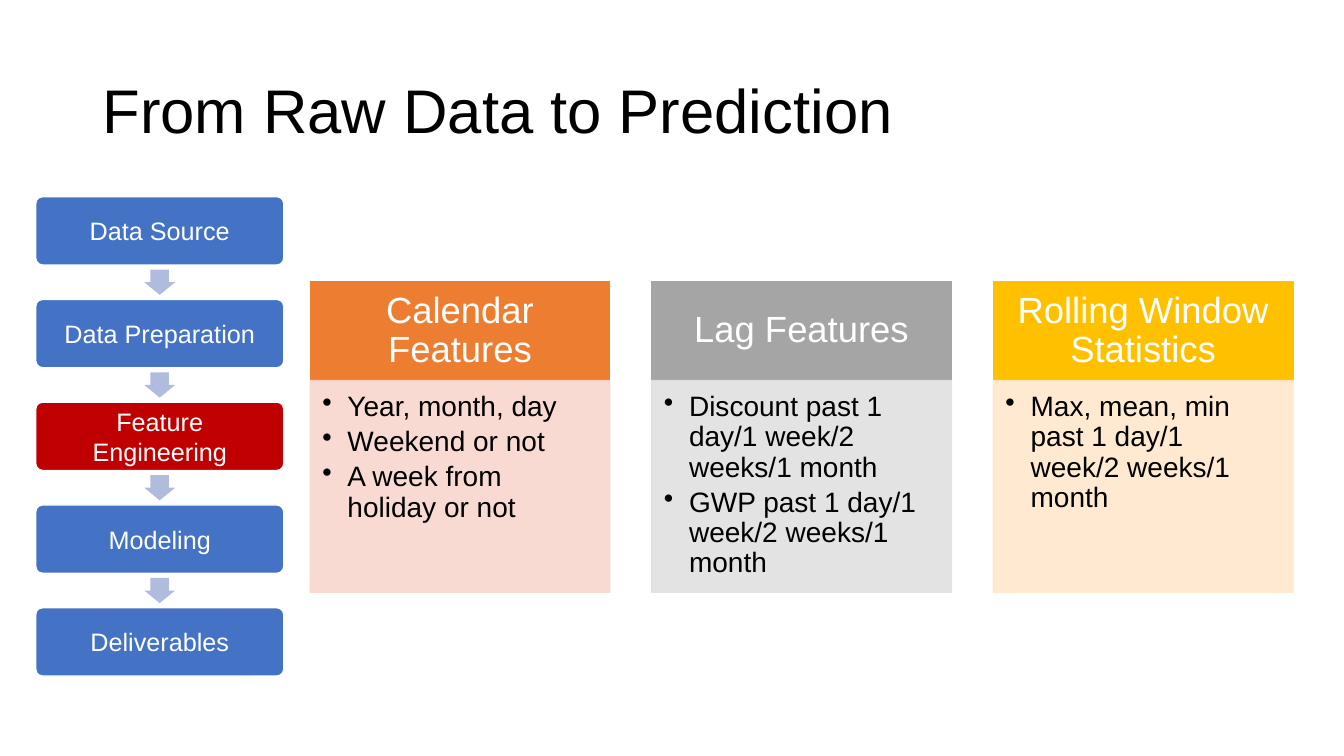
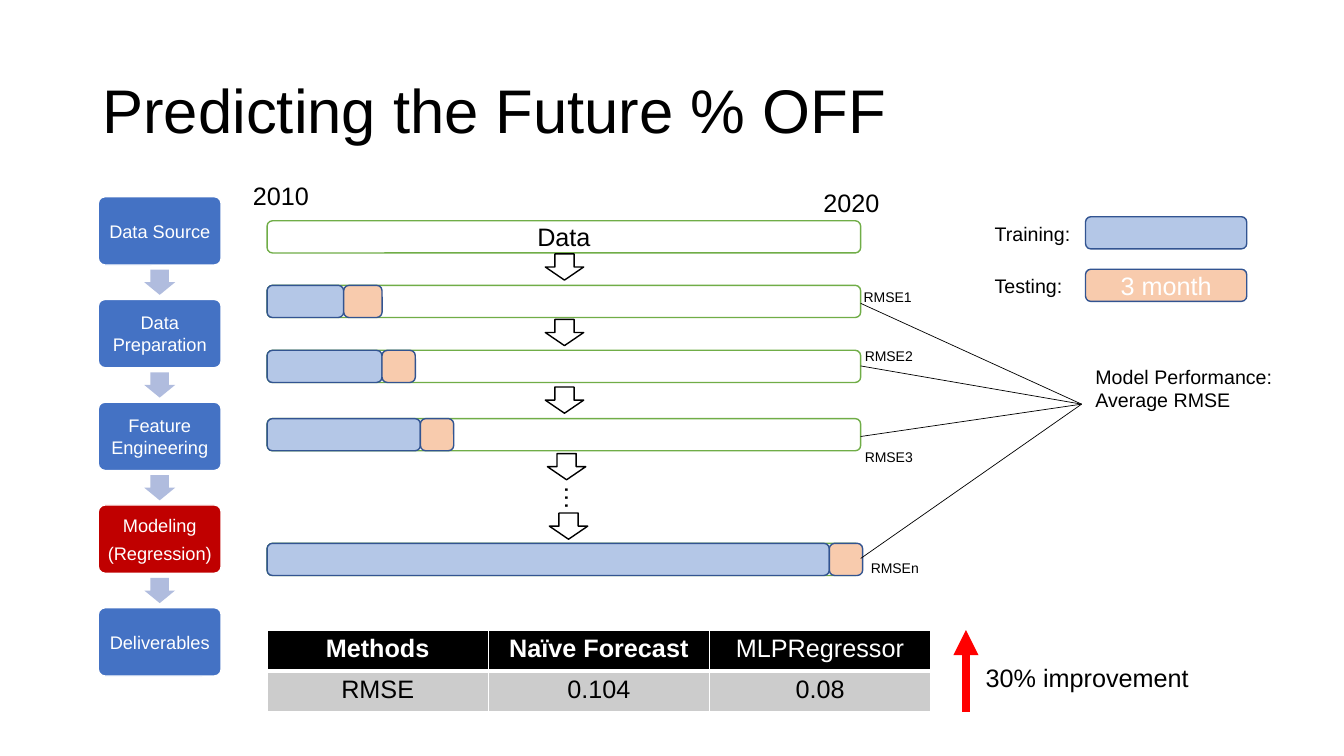
from lxml import etree
from pptx import Presentation
from pptx.dml.color import RGBColor
from pptx.enum import shapes, text
from pptx.oxml.ns import qn
from pptx.util import Pt

FONT = "Arial"
COLORS = {
    "black": "000000", "white": "FFFFFF", "step": "4472C4", "current": "C00000",
    "step_arrow": "B0BCDE", "calendar": "ED7D31", "calendar_pale": "F8D7CE",
    "lag": "A5A5A5", "lag_pale": "E1E1E1", "rolling": "FFC000",
    "rolling_pale": "FFE8CC", "track": "70AD47", "training": "B4C7E7",
    "testing": "F8CBAD", "split_edge": "325491", "row": "CCCCCC", "gain": "FF0000",
}
PRESET = shapes.MSO_SHAPE
CENTER = text.PP_ALIGN.CENTER
MIDDLE = text.MSO_ANCHOR.MIDDLE

FLOW_CENTER, FLOW_TOP, STEP_PITCH, STEP_HEIGHT = 114.1, 140.5, 73.4, 48.8
FEATURES = [
    ("calendar", "Calendar Features",
     ["Year, month, day", "Weekend or not", "A week from holiday or not"]),
    ("lag", "Lag Features",
     ["Discount past 1 day/1 week/2 weeks/1 month",
      "GWP past 1 day/1 week/2 weeks/1 month"]),
    ("rolling", "Rolling Window Statistics",
     ["Max, mean, min past 1 day/1 week/2 weeks/1 month"]),
]
TRACK_LEFT, TRACK_WIDTH, TRACK_HEIGHT = 190.8, 424, 23
FOLDS = [
    ("RMSE1", 203.8, 54.7, 27.4, (609.8, 202.3), 216.7),
    ("RMSE2", 250.2, 82.1, 23.8, (610.6, 244.8), 261.4),
    ("RMSE3", 299, 109.5, 23.8, (610.6, 316.8), 311.8),
    ("RMSEn", 388.1, 401.6, 23.8, (614.9, 396), 398.9),
]
FOLD_ARROWS = [(389.5, 181.4), (389.5, 228.2), (389.5, 276.5), (391, 324), (392.4, 366.5)]


def rgb(name):
    return RGBColor.from_string(COLORS[name])


def apply(target, formats):
    for name, value in formats.items():
        setattr(target, name, value)


def box(left, top, width, height):
    return [Pt(length) for length in (left, top, width, height)]


def write(frame, lines, size, color="black", bold=False, gap=0, bullet=False, **formats):
    for index, line in enumerate(lines):
        paragraph = frame.paragraphs[0] if index == 0 else frame.add_paragraph()
        if bullet:
            props = paragraph._p.get_or_add_pPr()
            props.set("marL", str(Pt(18)))
            props.set("indent", str(Pt(-18)))
            etree.SubElement(props, qn("a:buChar"), char="•")
        apply(paragraph, formats)
        if index and gap:
            paragraph.space_before = Pt(gap)
        run = paragraph.add_run()
        run.text = line
        apply(run.font, {"name": FONT, "size": Pt(size), "bold": bold})
        run.font.color.rgb = rgb(color)


def set_frame(frame, anchor, left, top, right, bottom):
    apply(frame, {"word_wrap": True, "vertical_anchor": anchor,
                  "margin_left": Pt(left), "margin_top": Pt(top),
                  "margin_right": Pt(right), "margin_bottom": Pt(bottom)})


def add_block(slide, preset, place, fill, edge=None, adjust=()):
    block = slide.shapes.add_shape(preset, *box(*place))
    block.shadow.inherit = False
    for index, value in enumerate(adjust):
        block.adjustments[index] = value
    block.fill.solid()
    block.fill.fore_color.rgb = rgb(fill)
    if edge:
        block.line.color.rgb = rgb(edge)
        block.line.width = Pt(1)
    else:
        block.line.fill.background()
    return block


def add_label(slide, place, lines, size):
    label = slide.shapes.add_textbox(*box(*place))
    write(label.text_frame, lines, size)
    return label


def add_line(slide, start, end, color, width, arrow=False):
    line = slide.shapes.add_connector(
        shapes.MSO_CONNECTOR.STRAIGHT, *[Pt(length) for length in (*start, *end)])
    line.line.color.rgb = rgb(color)
    line.line.width = Pt(width)
    if arrow:
        etree.SubElement(line.line._get_or_add_ln(), qn("a:tailEnd"), type="triangle")
    etree.SubElement(line._element.spPr, qn("a:effectLst"))


def add_titled_slide(deck, title):
    slide = deck.slides.add_slide(deck.slide_layouts[5])
    heading = slide.shapes.title
    apply(heading, dict(zip(("left", "top", "width", "height"), box(66, 28.8, 828, 104.4))))
    set_frame(heading.text_frame, MIDDLE, 7.2, 3.6, 7.2, 3.6)
    write(heading.text_frame, [title], 44, alignment=text.PP_ALIGN.LEFT, line_spacing=0.9)
    return slide


def add_flow(slide, steps, current, width, size, inset):
    for index, lines in enumerate(steps):
        top = FLOW_TOP + index * STEP_PITCH
        step = add_block(slide, PRESET.ROUNDED_RECTANGLE,
                         (FLOW_CENTER - width / 2, top, width, STEP_HEIGHT),
                         "current" if index == current else "step", "white", [0.1])
        set_frame(step.text_frame, MIDDLE, *[inset] * 4)
        write(step.text_frame, lines, size, "white", gap=size * 0.35, alignment=CENTER)
        if index:
            gap_center = top - (STEP_PITCH - STEP_HEIGHT) / 2
            add_block(slide, PRESET.DOWN_ARROW, (FLOW_CENTER - 11, gap_center - 9, 22, 18),
                      "step_arrow", adjust=[0.6, 0.5])


def add_feature(slide, left, color, heading, points):
    pale = color + "_pale"
    head = add_block(slide, PRESET.RECTANGLE, (left, 201, 214, 70.8), color, color)
    set_frame(head.text_frame, MIDDLE, 14.4, 8.6, 14.4, 8.6)
    write(head.text_frame, [heading], 26, "white", alignment=CENTER, line_spacing=0.9)
    body = add_block(slide, PRESET.RECTANGLE, (left, 271.8, 214, 151.2), pale, pale)
    for color_element in body._element.spPr.iter(qn("a:srgbClr")):
        etree.SubElement(color_element, qn("a:alpha"), val="90000")
    set_frame(body.text_frame, text.MSO_ANCHOR.TOP, 8.6, 8.6, 11.5, 12.2)
    write(body.text_frame, points, 20, gap=3.5, bullet=True,
          alignment=text.PP_ALIGN.LEFT, line_spacing=0.9)


def add_bar(slide, left, top, width, fill, edge):
    return add_block(slide, PRESET.ROUNDED_RECTANGLE,
                     (left, top, width, TRACK_HEIGHT), fill, edge)


def add_bar_text(bar, line, color):
    bar.text_frame.vertical_anchor = MIDDLE
    write(bar.text_frame, [line], 18, color, alignment=CENTER)


def add_folds(slide):
    data = add_bar(slide, TRACK_LEFT, 157.7, TRACK_WIDTH, "white", "track")
    add_bar_text(data, "Data", "black")
    add_label(slide, (173.5, 125.3, 54.5, 28.8), ["2010"], 18)
    add_label(slide, (581, 130.3, 54.5, 28.8), ["2020"], 18)
    for left, top in FOLD_ARROWS:
        add_block(slide, PRESET.DOWN_ARROW, (left, top, 27.4, 18.7), "white", "black")
    for score, top, training, testing, label_at, line_top in FOLDS:
        add_bar(slide, TRACK_LEFT, top, TRACK_WIDTH, "white", "track")
        add_bar(slide, TRACK_LEFT, top, training, "training", "split_edge")
        add_bar(slide, TRACK_LEFT + training, top, testing, "testing", "split_edge")
        add_line(slide, (TRACK_LEFT + TRACK_WIDTH, line_top), (772.6, 288.7), "black", 0.5)
        add_label(slide, (*label_at, 49, 19.4), [score], 10)
    add_label(slide, (394.6, 341.3, 32.4, 28.8), ["…"], 18).rotation = 90
    add_label(slide, (775.4, 257, 141, 41), ["Model Performance:", "Average RMSE"], 14)


def add_legend(slide):
    for top, label, width, fill in ((154.8, "Training:", 69, "training"),
                                    (192.3, "Testing:", 63.4, "testing")):
        swatch = add_bar(slide, 775.4, top, 115.2, fill, "split_edge")
        add_label(slide, (703.4, top, width, 24.5), [label], 14)
    add_bar_text(swatch, "3 month", "white")


def add_cell_border(cell, side, width):
    border = etree.SubElement(cell._tc.get_or_add_tcPr(), qn("a:" + side), w=str(Pt(width)))
    fill = etree.SubElement(border, qn("a:solidFill"))
    etree.SubElement(fill, qn("a:srgbClr"), val=COLORS["white"])


def add_scores(slide):
    rows = [("Methods", "Naïve Forecast", "MLPRegressor"), ("RMSE", "0.104", "0.08")]
    scores = slide.shapes.add_table(2, 3, *box(TRACK_LEFT, 450, 474, 58.4)).table
    scores.horz_banding = False
    for row, values in enumerate(rows):
        for column, value in enumerate(values):
            cell = scores.cell(row, column)
            for side in ("lnL", "lnR", "lnT", "lnB"):
                divider = side == ("lnT" if row else "lnB")
                add_cell_border(cell, side, 3 if divider else 1)
            cell.fill.solid()
            cell.fill.fore_color.rgb = rgb("row" if row else "black")
            write(cell.text_frame, [value], 18, "black" if row else "white",
                  bold=row == 0 and column < 2, alignment=CENTER)
    add_line(slide, (690, 508.4), (690, 450), "gain", 6, arrow=True)
    add_label(slide, (697, 469.4, 161.3, 28.8), ["30% improvement"], 18)


def main():
    deck = Presentation()
    apply(deck, {"slide_width": Pt(960), "slide_height": Pt(540)})
    steps = [["Data Source"], ["Data Preparation"], ["Feature Engineering"],
             ["Modeling"], ["Deliverables"]]

    features = add_titled_slide(deck, "From Raw Data to Prediction")
    add_flow(features, steps, 2, 177.2, 18, 6)
    for index, feature in enumerate(FEATURES):
        add_feature(features, 221.6 + index * 244, *feature)

    modeling = add_titled_slide(deck, "Predicting the Future % OFF")
    regression_steps = steps[:3] + [["Modeling", "(Regression)"]] + steps[4:]
    add_flow(modeling, regression_steps, 3, 87.8, 13, 5)
    add_scores(modeling)
    add_folds(modeling)
    add_legend(modeling)

    deck.save("out.pptx")


if __name__ == "__main__":
    main()
